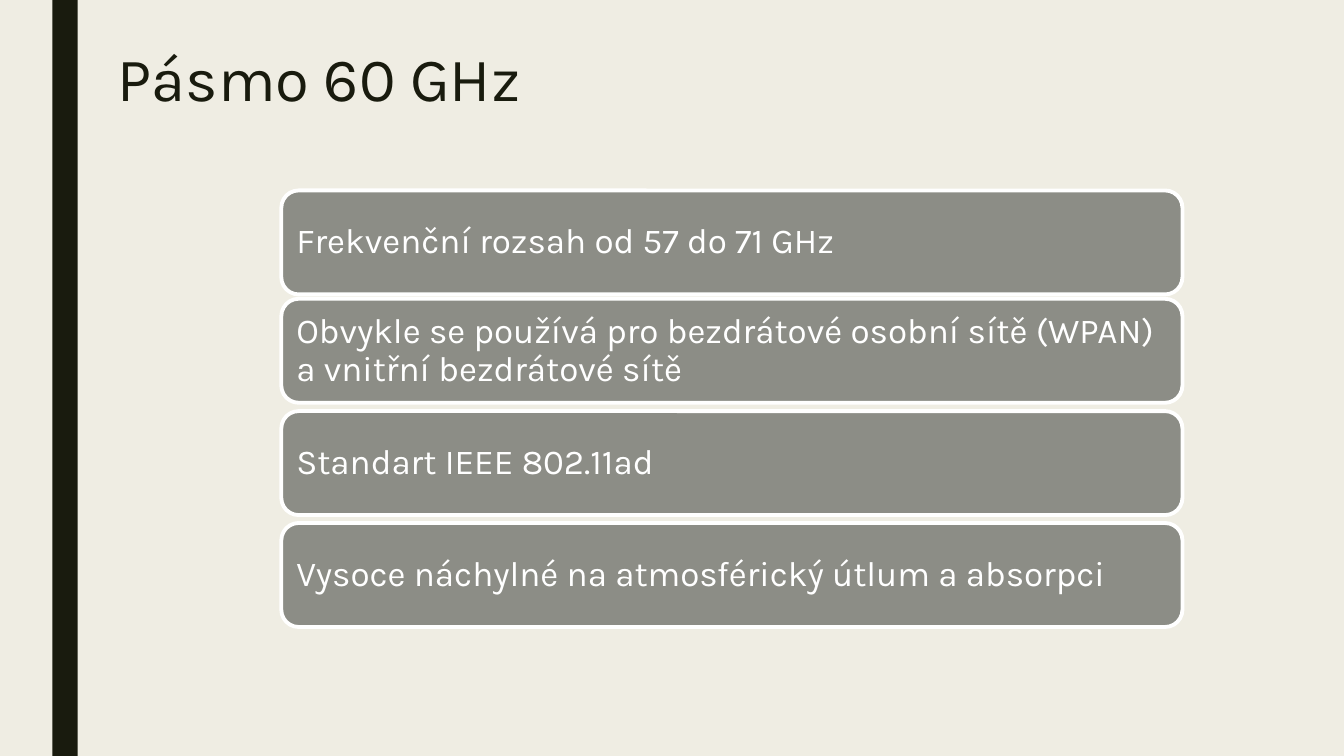
from pptx import Presentation
from pptx.dml.color import RGBColor
from pptx.enum.shapes import MSO_SHAPE
from pptx.enum.text import MSO_ANCHOR, MSO_AUTO_SIZE, PP_ALIGN
from pptx.util import Cm, Pt

COLORS = {
    "background": "EFEDE3",
    "dark": "191B0E",
    "card": "8C8D86",
    "white": "FFFFFF",
}


class SlideBuilder:
    font = "Karla"
    inset = Cm(0.25)

    def __init__(self, slide):
        self.slide = slide
        fill = slide.background.fill
        fill.solid()
        fill.fore_color.rgb = self.color("background")

    def color(self, name):
        return RGBColor.from_string(COLORS[name])

    def set_text(self, frame, text, size, color, anchor):
        frame.text = text
        frame.word_wrap = True
        frame.auto_size = MSO_AUTO_SIZE.NONE
        frame.vertical_anchor = anchor
        frame.margin_left = frame.margin_right = self.inset
        paragraph = frame.paragraphs[0]
        paragraph.alignment = PP_ALIGN.LEFT
        paragraph.line_spacing = 0.9
        for run in paragraph.runs:
            run.font.name = self.font
            run.font.size = Pt(size)
            run.font.color.rgb = self.color(color)

    def title(self, text, left, top, width, height):
        heading = self.slide.shapes.title
        heading.left, heading.top = Cm(left), Cm(top)
        heading.width, heading.height = Cm(width), Cm(height)
        self.set_text(heading.text_frame, text, 44, "dark", MSO_ANCHOR.TOP)

    def block(self, kind, color, left, top, width, height):
        block = self.slide.shapes.add_shape(
            kind, Cm(left), Cm(top), Cm(width), Cm(height))
        block.shadow.inherit = False
        block.fill.solid()
        block.fill.fore_color.rgb = self.color(color)
        block.line.fill.background()
        return block

    def card(self, text, left, top, width, height):
        card = self.block(MSO_SHAPE.ROUNDED_RECTANGLE, "card",
                          left, top, width, height)
        card.line.color.rgb = self.color("white")
        card.line.width = Pt(2.75)
        self.set_text(card.text_frame, text, 25, "white", MSO_ANCHOR.MIDDLE)


presentation = Presentation()
presentation.slide_width = Cm(33.87)
presentation.slide_height = Cm(19.05)
title_only = presentation.slide_layouts[5]
builder = SlideBuilder(presentation.slides.add_slide(title_only))

builder.block(MSO_SHAPE.RECTANGLE, "dark", 1.32, 0, 0.64, 19.05)
builder.title("Pásmo 60 GHz", 2.72, 1.09, 26.67, 4.11)

facts = [
    (4.8, "Frekvenční rozsah od 57 do 71 GHz"),
    (7.53, "Obvykle se používá pro bezdrátové osobní sítě (WPAN) "
           "a vnitřní bezdrátové sítě"),
    (10.36, "Standart IEEE 802.11ad"),
    (13.18, "Vysoce náchylné na atmosférický útlum a absorpci"),
]
for top, fact in facts:
    builder.card(fact, 7.09, top, 22.71, 2.62)

presentation.save("out.pptx")
